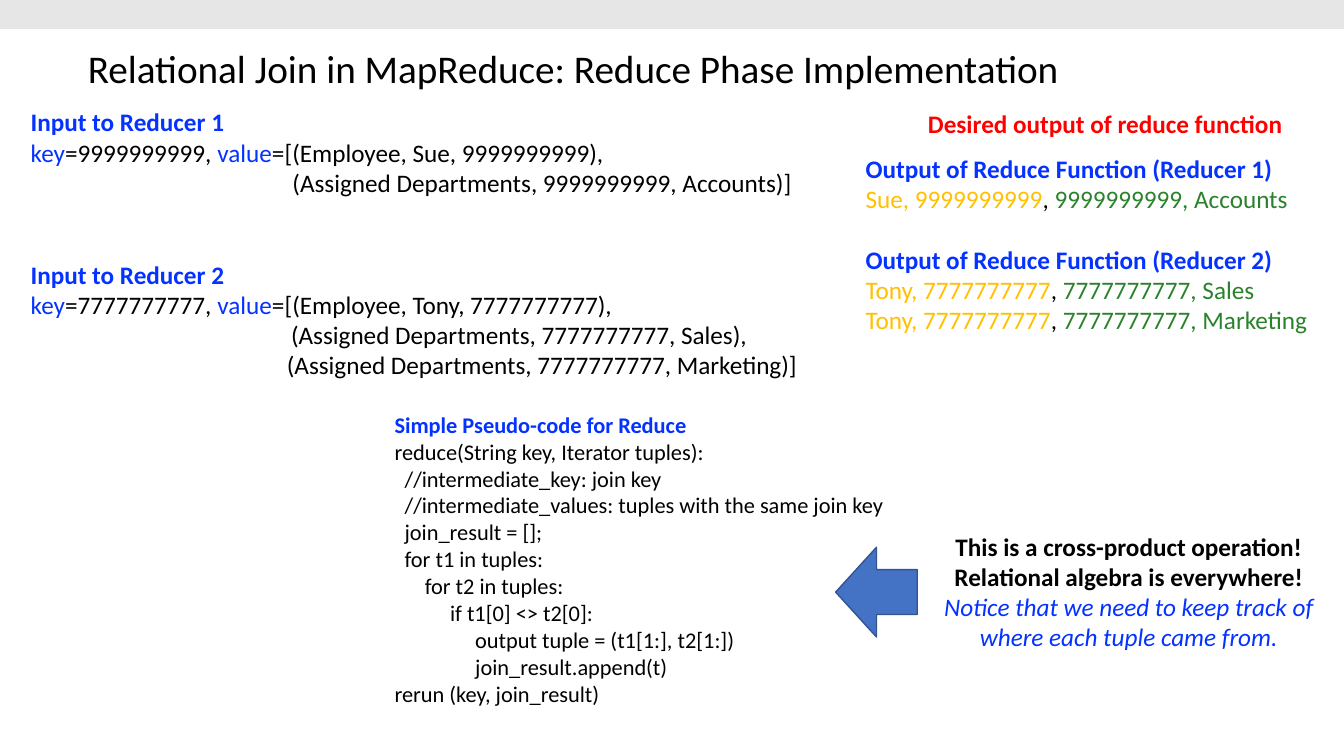
from pptx import Presentation
from pptx.dml.color import RGBColor
from pptx.enum.shapes import MSO_SHAPE as SHAPE
from pptx.enum.text import MSO_ANCHOR as ANCHOR, PP_ALIGN as ALIGN
from pptx.util import Pt

FONT = "Calibri"
BLACK, BLUE, RED = "000000", "0432FF", "FF0000"
GOLD, GREEN = "FFC000", "2B822C"
SPACE = 3.6  # width of one code indent column


def rgb(color):
    return RGBColor.from_string(color)


def add_run(p, text, size, color=BLACK, bold=False, italic=False):
    r = p.add_run()
    r.text = text
    f = r.font
    f.name, f.size, f.bold, f.italic = FONT, Pt(size), bold, italic
    f.color.rgb = rgb(color)


def line(*runs, indent=0, before=0):
    """Describe a paragraph; each run is (text, color, bold, italic), the tail optional."""
    return runs, indent, before


def heading(text, color=BLUE, before=0):
    return line((text, color, True), before=before)


def key_value(key, first_tuple):
    return line(("key", BLUE), (f"={key}, ",), ("value", BLUE),
                (f"=[{first_tuple},",))


def joined(left, right):
    return line((left, GOLD), (", ",), (right, GREEN))


def add_text(s, box, lines, size=18, align=ALIGN.LEFT, wrap=True):
    tf = s.shapes.add_textbox(*map(Pt, box)).text_frame
    tf.word_wrap = wrap
    for i, (runs, indent, before) in enumerate(lines):
        p = tf.add_paragraph() if i else tf.paragraphs[0]
        p.alignment = align
        p.space_before = Pt(before)
        if indent:
            pPr = p._p.get_or_add_pPr()
            pPr.set("marL", str(Pt(indent)))
            pPr.set("indent", "0")
        for run in runs:
            add_run(p, run[0], size, *run[1:])


def add_shape(s, kind, box, fill, outline=None):
    sp = s.shapes.add_shape(kind, *map(Pt, box))
    sp.shadow.inherit = False
    sp.fill.solid()
    sp.fill.fore_color.rgb = rgb(fill)
    if outline:
        sp.line.color.rgb = rgb(outline)
        sp.line.width = Pt(1)
    else:
        sp.line.fill.background()
    return sp


def set_title(s, box, text):
    title = s.shapes.title
    title.left, title.top, title.width, title.height = map(Pt, box)
    tf = title.text_frame
    tf.vertical_anchor = ANCHOR.MIDDLE
    p = tf.paragraphs[0]
    p.alignment = ALIGN.LEFT
    p.line_spacing = 0.9
    add_run(p, text, 28)


def main():
    prs = Presentation()
    prs.slide_width, prs.slide_height = Pt(960), Pt(540)
    s = prs.slides.add_slide(prs.slide_layouts[5])

    add_shape(s, SHAPE.RECTANGLE, (0, 0, 960, 20.7), "E7E6E6")
    set_title(s, (55.5, -1.5, 828, 104.4),
              "Relational Join in MapReduce: Reduce Phase Implementation")

    add_text(s, (645.8, 73.5, 287.3, 29),
             [heading("Desired output of reduce function", RED)],
             align=ALIGN.CENTER)

    add_text(s, (14.8, 72.7, 570.2, 204), [
        heading("Input to Reducer 1"),
        key_value("9999999999", "(Employee, Sue, 9999999999)"),
        line(("(Assigned Departments, 9999999999, Accounts)]",), indent=187),
        heading("Input to Reducer 2", before=44),
        key_value("7777777777", "(Employee, Tony, 7777777777)"),
        line(("(Assigned Departments, 7777777777, Sales),",), indent=186),
        line(("(Assigned Departments, 7777777777, Marketing)]",), indent=183),
    ])

    add_text(s, (611.2, 105.7, 342.7, 138), [
        heading("Output of Reduce Function (Reducer 1)"),
        joined("Sue, 9999999999", "9999999999, Accounts"),
        heading("Output of Reduce Function (Reducer 2)", before=22),
        joined("Tony, 7777777777", "7777777777, Sales"),
        joined("Tony, 7777777777", "7777777777, Marketing"),
    ])

    code = [
        (0, "reduce(String key, Iterator tuples):"),
        (2, "//intermediate_key: join key"),
        (2, "//intermediate_values: tuples with the same join key"),
        (2, "join_result = [];"),
        (2, "for t1 in tuples:"),
        (6, "for t2 in tuples:"),
        (11, "if t1[0] <> t2[0]:"),
        (16, "output tuple = (t1[1:], t2[1:])"),
        (16, "join_result.append(t)"),
        (0, "rerun (key, join_result)"),
    ]
    add_text(s, (274.8, 290, 368, 220),
             [heading("Simple Pseudo-code for Reduce")]
             + [line((text,), indent=columns * SPACE) for columns, text in code],
             size=16, wrap=False)

    add_text(s, (649.4, 375.8, 313.9, 94.5), [
        heading("This is a cross-product operation! "
                "Relational algebra is everywhere!", BLACK),
        line(("Notice that we need to keep track of where each tuple came from.",
              BLUE, False, True)),
    ], align=ALIGN.CENTER)

    arrow = add_shape(s, SHAPE.DOWN_ARROW, (594, 393.8, 64.1, 58.3),
                      "4472C4", "325491")
    arrow.rotation = 90

    prs.save("out.pptx")


if __name__ == "__main__":
    main()
